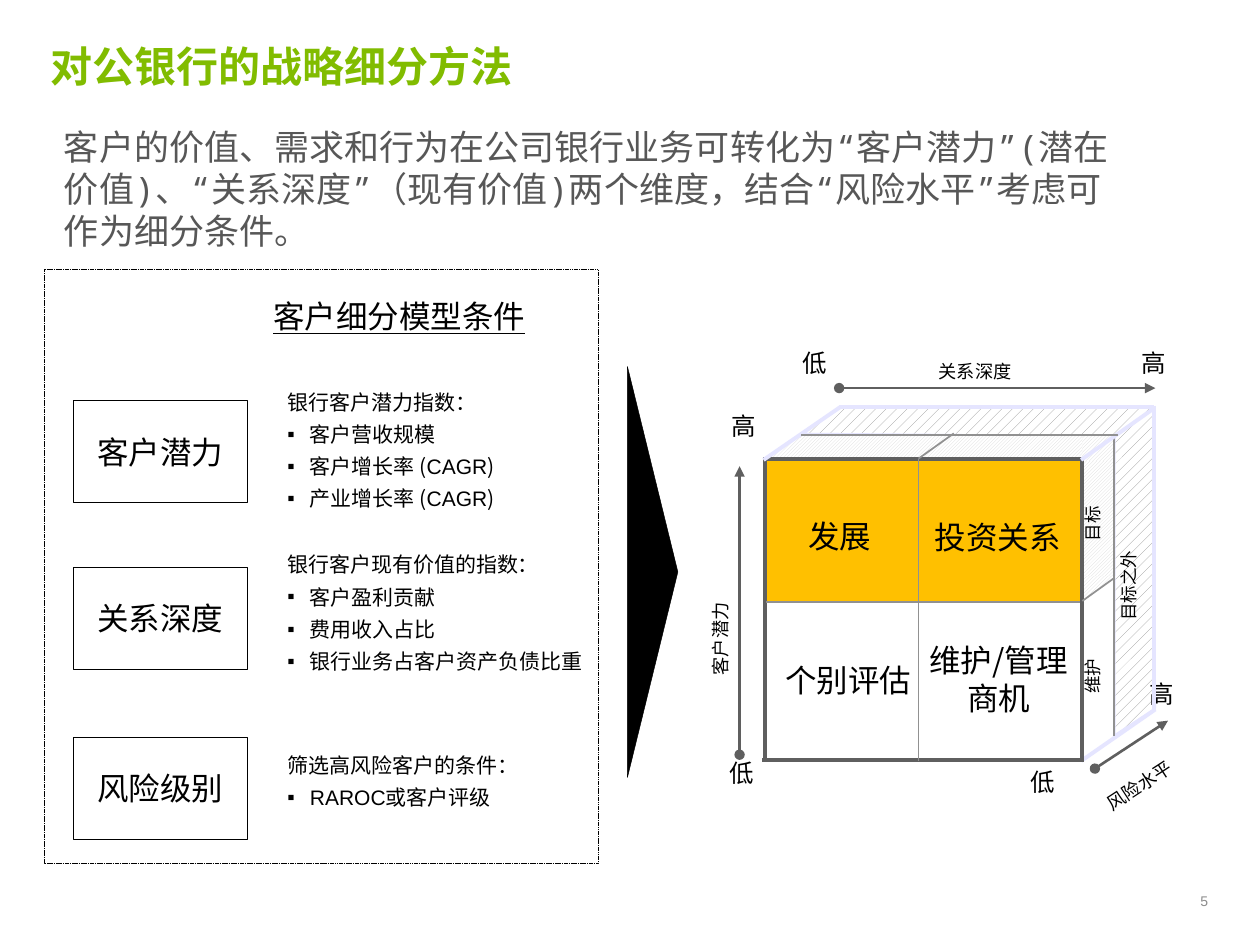
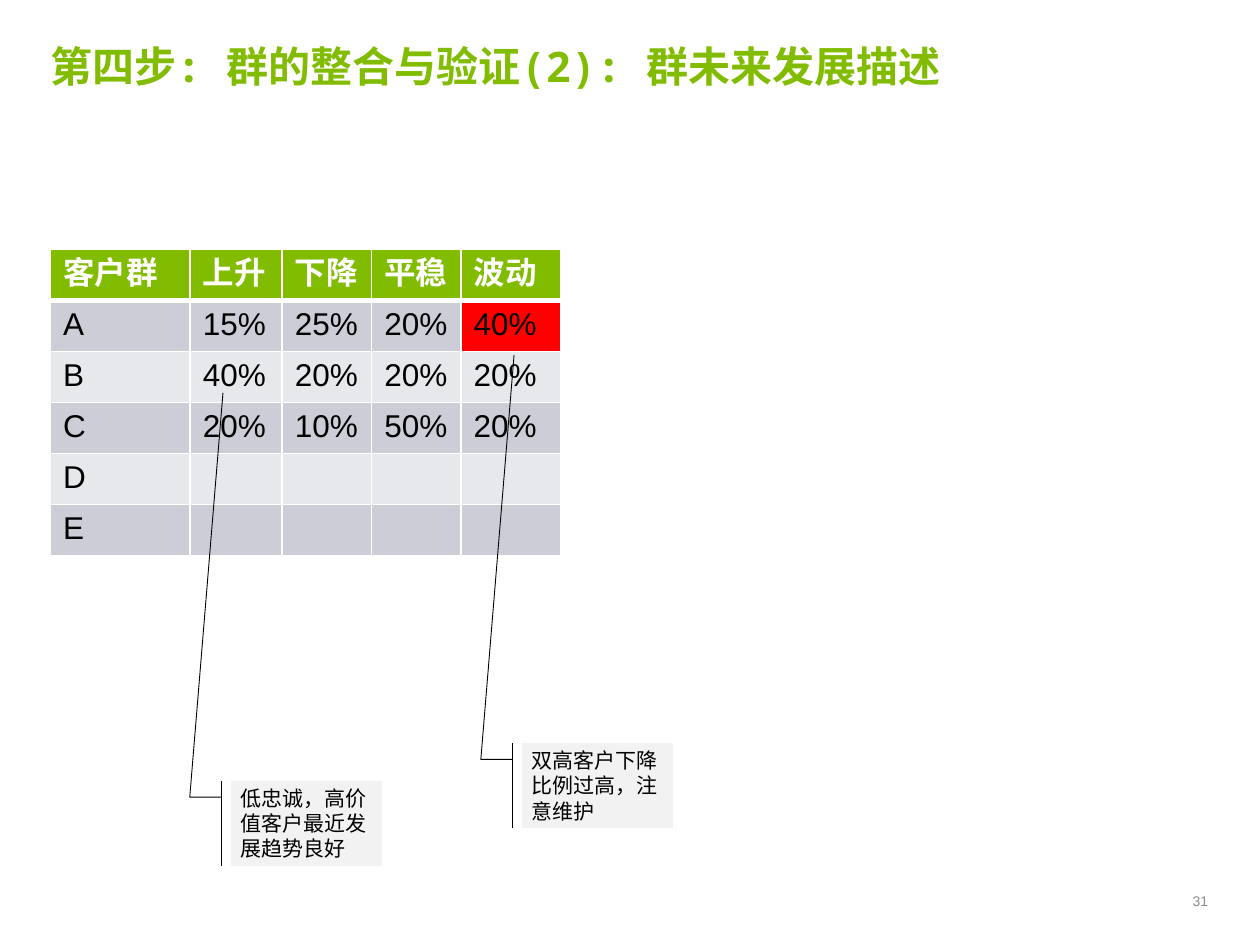
from lxml import etree
from pptx import Presentation
from pptx import util as u
from pptx.dml.color import RGBColor
from pptx.enum import dml, shapes, text
from pptx.oxml import ns

Inches, Pt = u.Inches, u.Pt
Preset = shapes.MSO_SHAPE
LEFT, CENTER, RIGHT = text.PP_ALIGN.LEFT, text.PP_ALIGN.CENTER, text.PP_ALIGN.RIGHT
TOP, MIDDLE = text.MSO_ANCHOR.TOP, text.MSO_ANCHOR.MIDDLE

GREEN = RGBColor(0x81, 0xBC, 0x00)
BLACK = RGBColor(0, 0, 0)
WHITE = RGBColor(0xFF, 0xFF, 0xFF)
BODY_GRAY = RGBColor(0x57, 0x57, 0x57)
NUMBER_GRAY = RGBColor(0x8C, 0x8C, 0x8C)
EDGE_GRAY = RGBColor(0x5F, 0x5F, 0x5F)
GRID_GRAY = RGBColor(0x91, 0x91, 0x91)
HATCH_GRAY = RGBColor(0xDA, 0xDA, 0xDA)
LILAC = RGBColor(0xE5, 0xE5, 0xFF)
AMBER = RGBColor(0xFF, 0xC0, 0x00)
RED = RGBColor(0xFF, 0, 0)
CALLOUT_GRAY = RGBColor(0xF2, 0xF2, 0xF2)
BAND_DARK = RGBColor(0xCC, 0xCD, 0xD6)
BAND_LIGHT = RGBColor(0xE7, 0xE8, 0xEC)

SANS, MONO, CJK = "Arial", "Noto Sans Mono", "Noto Sans CJK SC"


# Shared helpers
def set_all(target, values):
    for name, value in values.items():
        setattr(target, name, value)


def add_xml(parent, tag, **attributes):
    return etree.SubElement(parent, ns.qn(tag), attributes)


def write_span(para, words, size, font=CJK, color=BLACK, bold=False,
               underline=False, raised=False):
    span = para.add_run()
    span.text = words
    set_all(span.font, {"size": Pt(size), "name": font, "bold": bold,
                        "underline": underline})
    span.font.color.rgb = color
    properties = span.font._element
    add_xml(properties, "a:ea", typeface=font)
    if raised:
        properties.set("baseline", "30000")


def set_frame(box, insets, anchor=TOP, wrap=True, grow=False):
    frame = box.text_frame
    across, down = map(Inches, insets)
    fit = text.MSO_AUTO_SIZE
    set_all(frame, {"margin_left": across, "margin_right": across,
                    "margin_top": down, "margin_bottom": down,
                    "vertical_anchor": anchor, "word_wrap": wrap,
                    "auto_size": fit.SHAPE_TO_FIT_TEXT if grow else fit.NONE})
    return frame


def add_label(page, place, words, size, insets=(0.08, 0.04), anchor=TOP,
              align=LEFT, wrap=False, grow=True, turn=0, spacing=None, **style):
    box = page.shapes.add_textbox(*map(Inches, place))
    box.rotation = turn
    para = set_frame(box, insets, anchor, wrap, grow).paragraphs[0]
    set_all(para, {"alignment": align, "line_spacing": spacing})
    write_span(para, words, size, **style)
    return para


def set_line(line, color, width):
    line.color.rgb = color
    line.width = Pt(width)


def add_block(page, kind, place, fill=None, line=None, hatch=None, turn=0):
    block = page.shapes.add_shape(kind, *map(Inches, place))
    block.shadow.inherit = False
    block.rotation = turn
    paint_block(block, fill, line, hatch)
    return block


def paint_block(block, fill=None, line=None, hatch=None):
    if hatch:
        block.fill.patterned()
        block.fill.pattern, block.fill.fore_color.rgb = hatch
        block.fill.back_color.rgb = WHITE
    elif fill is not None:
        block.fill.solid()
        block.fill.fore_color.rgb = fill
    else:
        block.fill.background()
    if line:
        set_line(block.line, *line)
    else:
        block.line.fill.background()


def add_edge(page, ends, color, width, head=None, tail=None):
    edge = page.shapes.add_connector(shapes.MSO_CONNECTOR.STRAIGHT,
                                     *map(Inches, ends))
    set_line(edge.line, color, width)
    outline = edge.line._get_or_add_ln()
    for tag, mark in (("a:headEnd", head), ("a:tailEnd", tail)):
        if mark:
            add_xml(outline, tag, type=mark)
    add_xml(edge._element.spPr, "a:effectLst")


def start_page(deck, title, number):
    page = deck.slides.add_slide(deck.slide_layouts[6])
    add_label(page, (0.4, 0.32, 9.17, 0.51), title, 24, (0, 0), wrap=True,
              grow=False, font=MONO, color=GREEN, bold=True)
    add_label(page, (8.72, 7.01, 0.87, 0.28), number, 8, (0, 0), MIDDLE, RIGHT,
              True, False, font=SANS, color=NUMBER_GRAY)
    return page


# Segmentation criteria: named box and its list; "|" switches to Arial and back
def add_criterion(page, name, top, list_top, list_height, heading, points):
    box = add_block(page, Preset.RECTANGLE, (0.58, top, 1.38, 0.81),
                    line=(BLACK, 0.25))
    para = set_frame(box, (0.08, 0.08), MIDDLE).paragraphs[0]
    para.alignment = CENTER
    write_span(para, name, 18)

    listing = page.shapes.add_textbox(
        *map(Inches, (1.88, list_top, 3.35, list_height)))
    frame = set_frame(listing, (0.08, 0.08), grow=True)
    for index, line in enumerate([heading, *points]):
        para = frame.add_paragraph() if index else frame.paragraphs[0]
        set_all(para, {"space_before": Pt(2), "space_after": Pt(2)})
        properties = para._p.get_or_add_pPr()
        properties.set("marL", str(Inches(0.5)))
        properties.set("indent", str(Inches(-0.18)))
        if index:
            add_xml(properties, "a:buFont", typeface=SANS)
            add_xml(properties, "a:buChar", char="▪")
        for part, words in enumerate(line.split("|")):
            if words:
                write_span(para, words, 12, font=SANS if part % 2 else CJK)


# Cube of customer potential, relationship depth and risk
def add_cube(page):
    outer = [(8.85, 3.46), (6.38, 3.44), (6.67, 3.23), (9.15, 3.23),
             (9.17, 5.62), (8.85, 5.83)]
    corners = [(Inches(x), Inches(y)) for x, y in outer]
    builder = page.shapes.build_freeform(*corners[0])
    builder.add_line_segments(corners[1:], close=True)
    shell = builder.convert_to_shape()
    shell.shadow.inherit = False
    paint_block(shell, line=(LILAC, 0.75),
                hatch=(dml.MSO_PATTERN.PERCENT_20, GRID_GRAY))

    def add_hatched(*pieces):
        for kind, place, turn in pieces:
            add_block(page, kind, place, turn=turn,
                      hatch=(dml.MSO_PATTERN.DARK_UPWARD_DIAGONAL, HATCH_GRAY))

    def add_edges(color, width, *edges):
        for ends in edges:
            add_edge(page, ends, color, width)

    def add_marks(*marks):
        for words, place, wrap, inset in marks:
            add_label(page, place, words, 14, (inset, 0.04), MIDDLE, wrap=wrap)

    def add_axis_name(words, place, turn=0):
        add_label(page, place, words, 18, anchor=MIDDLE, turn=turn,
                  spacing=0.9, raised=True)

    def add_side_name(words, place):
        add_label(page, place, words, 10, (0.04, 0.04), turn=270)

    # Top face, front quadrants and axes
    add_hatched((Preset.RIGHT_TRIANGLE, (6.14, 3.4, 0.2, 0.26), 270),
                (Preset.RECTANGLE, (6.35, 3.45, 2.26, 0.18), 0))
    add_marks(("低", (8.1, 6.01, 0.73, 0.39), True, 0.08),
              ("低", (6.29, 2.68, 0.43, 0.39), False, 0.08),
              ("高", (8.98, 2.68, 0.43, 0.39), False, 0.08),
              ("高", (9.08, 5.31, 0.6, 0.39), True, 0.04),
              ("高", (5.73, 3.18, 0.43, 0.39), False, 0.08),
              ("低", (5.71, 5.94, 0.43, 0.39), False, 0.08))
    add_axis_name("关系深度", (7.37, 2.84, 0.99, 0.32))
    add_block(page, Preset.RECTANGLE, (6.08, 3.65, 2.51, 1.13), AMBER)
    add_edges(EDGE_GRAY, 2.25, (6.05, 6.03, 8.6, 6.03))
    add_edges(LILAC, 2.25, (6.66, 3.23, 9.16, 3.23))
    for axis in ((5.87, 5.99, 5.87, 3.7), (6.66, 3.08, 9.17, 3.08),
                 (8.69, 6.1, 9.27, 5.72)):
        add_edge(page, axis, EDGE_GRAY, 1.5, "oval", "triangle")
    add_edges(EDGE_GRAY, 2.25, (6.07, 3.63, 6.07, 6.02))
    add_edges(LILAC, 2.25, (8.58, 6.04, 9.17, 5.63), (9.16, 3.22, 9.16, 5.64))
    add_edges(EDGE_GRAY, 2.25, (6.08, 3.64, 8.6, 3.64))
    add_side_name("目标之外", (8.59, 4.43, 0.78, 0.29))
    add_edges(LILAC, 2.25, (6.06, 3.65, 6.67, 3.23))

    # Right face
    add_hatched((Preset.RECTANGLE, (8.24, 3.99, 0.95, 0.25), 90),
                (Preset.RIGHT_TRIANGLE, (8.63, 3.45, 0.18, 0.24), 270),
                (Preset.RIGHT_TRIANGLE, (8.64, 4.53, 0.18, 0.27), 90),
                (Preset.RIGHT_TRIANGLE, (8.63, 3.41, 0.18, 0.26), 90))
    add_edges(EDGE_GRAY, 2.25, (8.59, 3.63, 8.59, 6.05))
    add_edges(GRID_GRAY, 1, (8.84, 3.46, 8.84, 5.84))
    add_side_name("目标", (8.47, 3.97, 0.44, 0.29))
    add_side_name("维护", (8.47, 5.18, 0.44, 0.29))
    add_edges(GRID_GRAY, 1, (8.59, 4.77, 8.84, 4.59))
    add_edges(LILAC, 2.25, (8.58, 3.65, 9.16, 3.24))
    add_edges(GRID_GRAY, 1, (6.36, 3.45, 8.87, 3.45), (7.29, 3.64, 7.57, 3.44),
              (7.29, 3.64, 7.29, 6.04), (6.08, 4.78, 8.57, 4.78))

    # Quadrant names
    for words, place, wrap in (("发展", (6.32, 4.06, 0.69, 0.47), False),
                               ("投资关系", (7.28, 4.07, 1.28, 0.47), False),
                               ("个别评估", (6.09, 5.21, 1.28, 0.47), False),
                               ("维护/管理商机", (7.23, 5.05, 1.39, 0.69), True)):
        add_label(page, place, words, 18, (0.04, 0.04), align=CENTER, wrap=wrap)
    add_axis_name("客户潜力", (5.25, 4.77, 1.03, 0.31), 270)
    add_axis_name("风险水平", (8.68, 6.05, 0.99, 0.32), 327)


def build_method_page(deck):
    page = start_page(deck, "对公银行的战略细分方法", "5")
    intro = add_label(
        page, (0.41, 0.95, 8.57, 0.74),
        "客户的价值、需求和行为在公司银行业务可转化为“客户潜力”(潜在价值)、"
        "“关系深度”（现有价值)两个维度，结合“风险水平”考虑可作为细分条件。",
        20, (0.1, 0.05), wrap=True, grow=False, font=MONO, color=BODY_GRAY)
    set_all(intro, {"space_before": Pt(12), "space_after": Pt(2)})

    add_block(page, Preset.ISOSCELES_TRIANGLE, (3.55, 4.34, 3.26, 0.4), BLACK,
              (BLACK, 0.25), turn=90)
    panel = add_block(page, Preset.RECTANGLE, (0.35, 2.14, 4.4, 4.71),
                      line=(BLACK, 0.25))
    panel.line.dash_style = dml.MSO_LINE.SQUARE_DOT
    add_label(page, (1.9, 2.25, 2.54, 0.49), "客户细分模型条件", 18, (0.08, 0.08),
              align=CENTER, wrap=True, spacing=1.1, underline=True)

    add_criterion(page, "客户潜力", 3.18, 3.01, 1.14, "银行客户潜力指数：",
                  ["客户营收规模", "客户增长率 (|CAGR|)", "产业增长率 (|CAGR|)"])
    add_criterion(page, "关系深度", 4.5, 4.3, 1.14, "银行客户现有价值的指数：",
                  ["客户盈利贡献", "费用收入占比", "银行业务占客户资产负债比重"])
    add_criterion(page, "风险级别", 5.85, 5.89, 0.62, "筛选高风险客户的条件：",
                  ["|RAROC|或客户评级"])
    add_cube(page)


# Trend table and callouts
def set_cell_borders(cell, widths):
    properties = cell._tc.get_or_add_tcPr()
    for side, width in zip("LRTB", widths):
        border = add_xml(properties, "a:ln" + side, w=str(Pt(width)))
        add_xml(add_xml(border, "a:solidFill"), "a:srgbClr", val=str(WHITE))


def add_trend_table(page):
    rows = [("客户群", "上升", "下降", "平稳", "波动"),
            ("A", "15%", "25%", "20%", "40%"),
            ("B", "40%", "20%", "20%", "20%"),
            ("C", "20%", "10%", "50%", "20%"),
            ("D", "", "", "", ""),
            ("E", "", "", "", "")]
    place = map(Inches, (0.4, 1.98, 4.04, 2.43))
    table = page.shapes.add_table(len(rows), len(rows[0]), *place).table
    for column, width in zip(table.columns, (1.11, 0.73, 0.71, 0.71, 0.79)):
        column.width = Inches(width)
    for i, row in enumerate(rows):
        for j, words in enumerate(row):
            cell = table.cell(i, j)
            set_cell_borders(cell, (1, 1, 3 if i == 1 else 1, 1 if i else 3))
            cell.fill.solid()
            band = BAND_DARK if i % 2 else BAND_LIGHT
            cell.fill.fore_color.rgb = (GREEN if i == 0 else
                                        RED if (i, j) == (1, 4) else band)
            if words:
                write_span(cell.text_frame.paragraphs[0], words, 18, SANS,
                           BLACK if i else WHITE, bold=i == 0)


def add_callout(page, left, top, words):
    callout = add_block(page, Preset.LINE_CALLOUT_2_ACCENT_BAR,
                        (left, top, 1.2, 0.67), CALLOUT_GRAY, (BLACK, 0.5))
    for index, value in enumerate((0.19, -0.06, 0.19, -0.27, -4.6, -0.05)):
        callout.adjustments[index] = value
    para = set_frame(callout, (0.08, 0.08), MIDDLE).paragraphs[0]
    para.alignment = LEFT
    write_span(para, words, 12, SANS)


def build_trend_page(deck):
    page = start_page(deck, "第四步: 群的整合与验证(2): 群未来发展描述", "31")
    add_trend_table(page)
    add_callout(page, 1.83, 6.2, "低忠诚，高价值客户最近发展趋势良好")
    add_callout(page, 4.14, 5.9, "双高客户下降比例过高，注意维护")


def main():
    deck = Presentation()
    set_all(deck, {"slide_width": Inches(10), "slide_height": Inches(7.5)})
    build_method_page(deck)
    build_trend_page(deck)
    deck.save("out.pptx")


if __name__ == "__main__":
    main()
